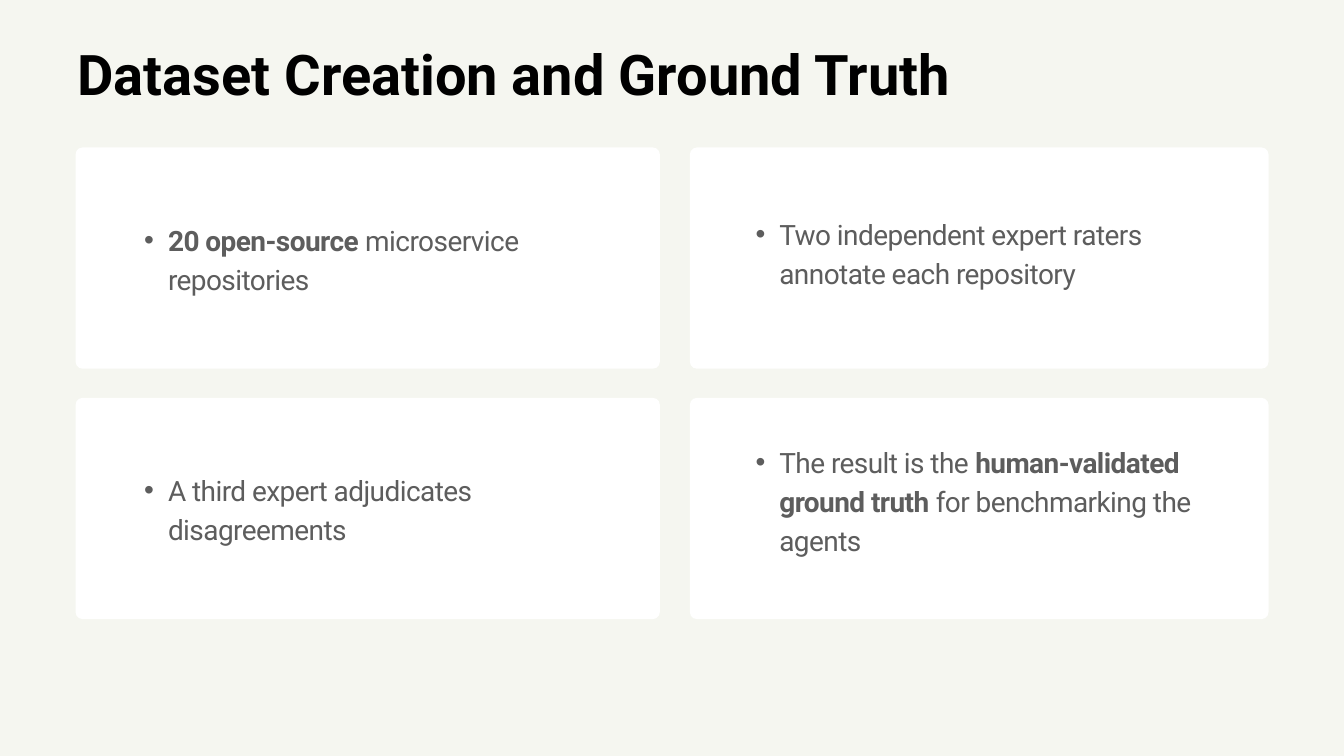
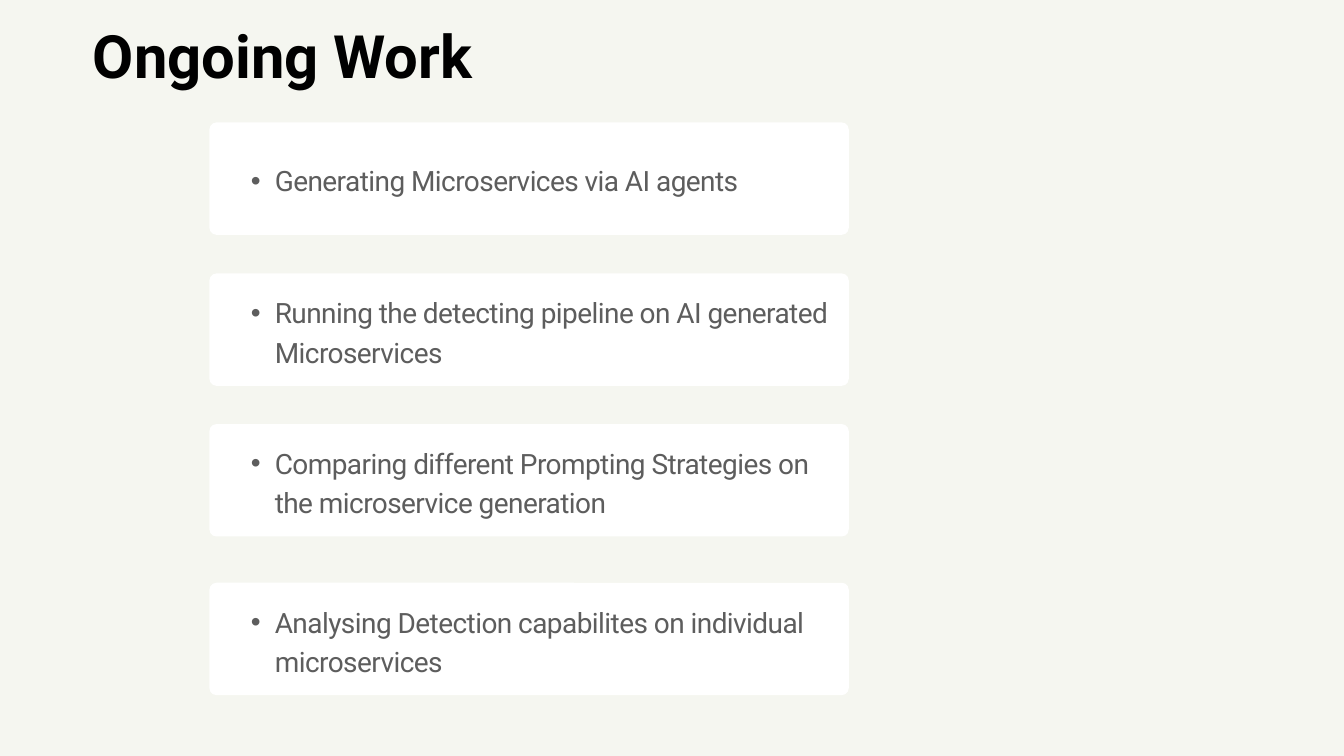
from lxml.etree import SubElement
from pptx import Presentation
from pptx.dml.color import RGBColor
from pptx.enum.shapes import MSO_SHAPE as SHAPE
from pptx.enum.text import MSO_ANCHOR as ANCHOR, MSO_AUTO_SIZE as AUTO, PP_ALIGN as ALIGN
from pptx.oxml.ns import qn
from pptx.util import Pt

PAPER = RGBColor(0xF5, 0xF6, 0xF0)
WHITE = RGBColor(0xFF, 0xFF, 0xFF)
BLACK = RGBColor(0x00, 0x00, 0x00)
GREY = RGBColor(0x5D, 0x5D, 0x5D)

COMPARISON_LAYOUT = 4


class Deck:
    font = "Roboto"
    body_size = 30
    line_height = 42
    tracking = -0.6
    corner = 7.5
    margin, hanging = 51, 25.5

    def __init__(self):
        self.prs = Presentation()
        self.prs.slide_width, self.prs.slide_height = Pt(1440), Pt(810)
        fill = self.prs.slide_master.background.fill
        fill.solid()
        fill.fore_color.rgb = PAPER

    def add_slide(self):
        layout = self.prs.slide_layouts[COMPARISON_LAYOUT]
        self.s = self.prs.slides.add_slide(layout)
        self.bodies = iter([sp for sp in self.s.placeholders
                            if sp.placeholder_format.idx in range(1, 5)])

    def place(self, sp, x, y, w, h):
        sp.left, sp.top, sp.width, sp.height = Pt(x), Pt(y), Pt(w), Pt(h)
        tf = sp.text_frame
        tf.margin_left = tf.margin_top = tf.margin_right = tf.margin_bottom = 0
        tf.word_wrap = True
        tf.vertical_anchor = ANCHOR.TOP
        tf.auto_size = AUTO.SHAPE_TO_FIT_TEXT
        return tf

    def style(self, p, size, color, spacing):
        p.alignment = ALIGN.LEFT
        p.line_spacing = Pt(spacing)
        p.space_before = p.space_after = Pt(0)
        for r in p.runs:
            r.font.name, r.font.size = self.font, Pt(size)
            r.font.color.rgb = color

    def title(self, text, x, y, w, size):
        tf = self.place(self.s.shapes.title, x, y, w, size * 1.05)
        tf.text = text
        p = tf.paragraphs[0]
        self.style(p, size, BLACK, size)
        p.runs[0].font.bold = True

    def card(self, x, y, w, h):
        sp = self.s.shapes.add_shape(SHAPE.ROUNDED_RECTANGLE, Pt(x), Pt(y), Pt(w), Pt(h))
        sp.adjustments[0] = self.corner / min(w, h)
        sp.shadow.inherit = False
        sp.fill.solid()
        sp.fill.fore_color.rgb = WHITE
        sp.line.fill.background()
        sp.element.getparent().insert(2, sp.element)

    def bullet(self, text, x, y, w, lines=2):
        tf = self.place(next(self.bodies), x, y, w, lines * self.line_height)
        p = tf.paragraphs[0]
        p.level = 1
        pPr = p._p.get_or_add_pPr()
        pPr.set("marL", str(Pt(self.margin)))
        pPr.set("indent", str(-Pt(self.hanging)))
        SubElement(pPr, qn("a:buFont")).set("typeface", "Arial")
        SubElement(pPr, qn("a:buChar")).set("char", "•")
        for i, part in enumerate(text.split("*")):
            if part:
                r = p.add_run()
                r.text = part
                r.font.bold = i % 2 == 1
                r._r.get_or_add_rPr().set("spc", str(round(self.tracking * 100)))
        self.style(p, self.body_size, GREY, self.line_height)


def dataset_slide(deck):
    deck.add_slide()
    deck.title("Dataset Creation and Ground Truth", 82.8, 54, 1248.5, 60)
    for y in (158, 426.3):
        for x, w in ((81, 626), (739.2, 620)):
            deck.card(x, y, w, 237)
    left, right, width = 129, 784, 530
    deck.bullet("*20 open-source *microservice repositories", left, 233.3, width)
    deck.bullet("Two independent expert raters annotate each repository",
                right, 226.8, width)
    deck.bullet("A third expert adjudicates disagreements", left, 501.2, width)
    deck.bullet("The result is the *human-validated ground truth* for benchmarking the agents",
                right, 470.9, width, lines=3)


def ongoing_slide(deck):
    deck.add_slide()
    deck.title("Ongoing Work", 99.4, 32.4, 672, 64)
    steps = [
        ("Generating Microservices via AI agents", 131.2, 38, 1),
        ("Running the detecting pipeline on AI generated Microservices", 293, 18, 2),
        ("Comparing different Prompting Strategies on the microservice generation",
         454.4, 18, 2),
        ("Analysing Detection capabilites on individual microservices", 624.4, 18, 2),
    ]
    for text, y, inset, lines in steps:
        deck.card(224.4, y, 685, 120.4)
        deck.bullet(text, 243.4, y + inset, 646.6, lines)


def main():
    deck = Deck()
    dataset_slide(deck)
    ongoing_slide(deck)
    deck.prs.save("out.pptx")


if __name__ == "__main__":
    main()
